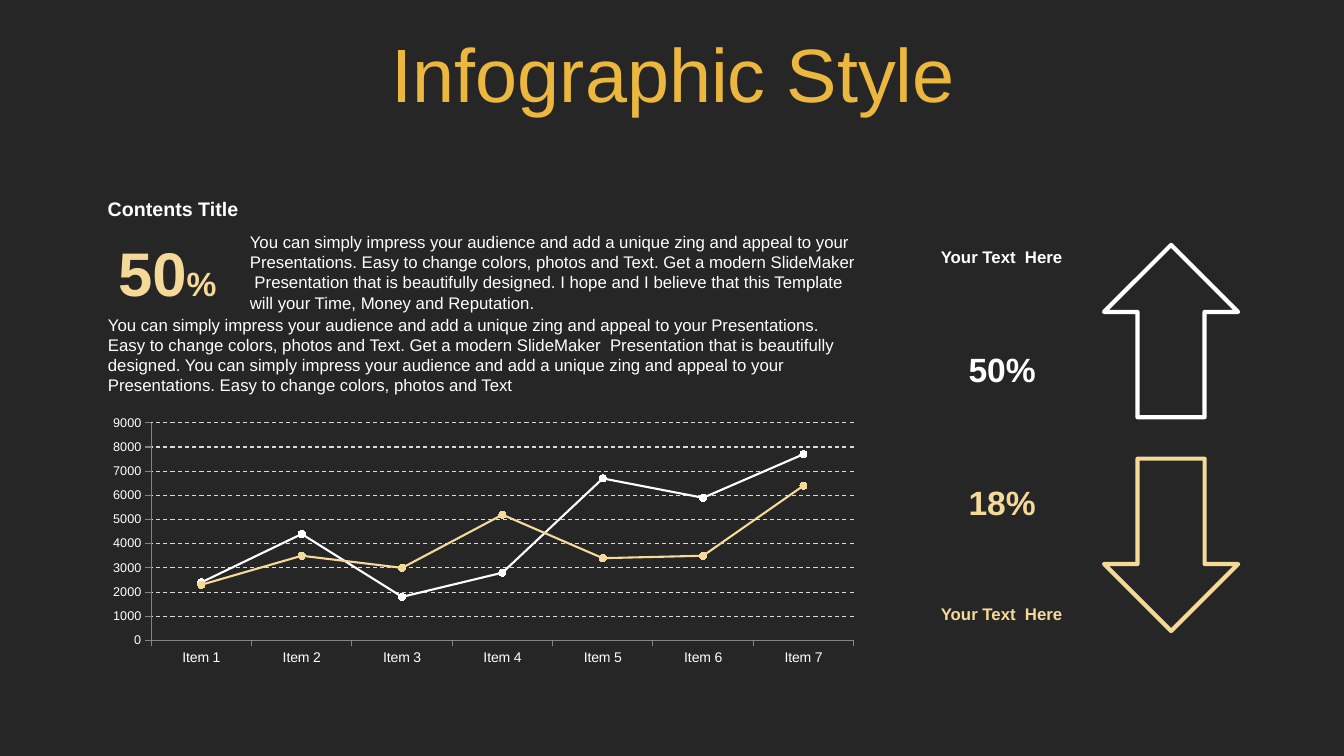
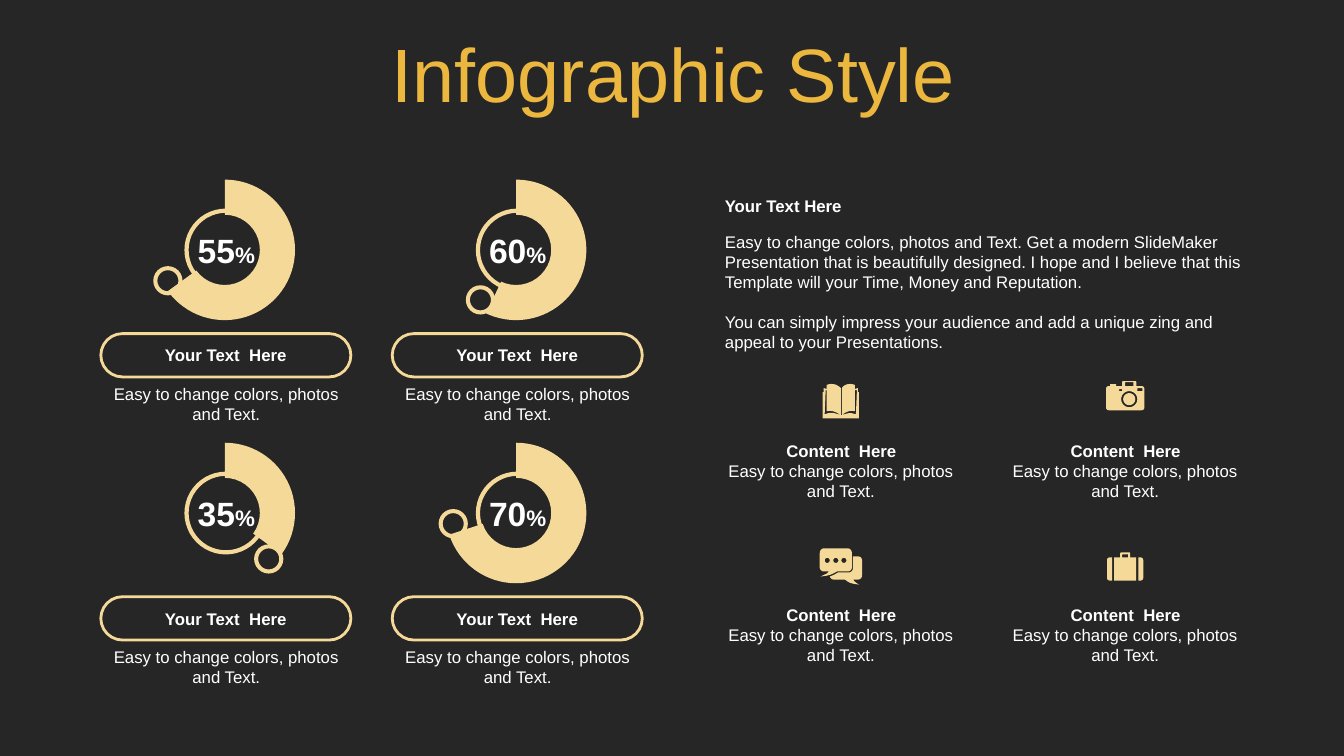
from math import cos, pi, sin

from lxml.etree import SubElement
from pptx import Presentation
from pptx.chart.data import CategoryChartData
from pptx.dml.color import RGBColor
from pptx.enum.chart import XL_CHART_TYPE, XL_MARKER_STYLE
from pptx.enum.dml import MSO_LINE
from pptx.enum.shapes import MSO_SHAPE
from pptx.enum.text import MSO_ANCHOR, MSO_AUTO_SIZE, PP_ALIGN
from pptx.oxml import parse_xml
from pptx.oxml.ns import nsdecls, qn
from pptx.util import Inches, Pt

COLORS = {
    "background": "262626",
    "title": "ECB73E",
    "sand": "F5D999",
    "white": "FFFFFF",
    "grid": "D9D9D9",
    "axis": "868686",
}
FONT = "Arial"
CENTER, LEFT = PP_ALIGN.CENTER, PP_ALIGN.LEFT
TOP, MIDDLE = MSO_ANCHOR.TOP, MSO_ANCHOR.MIDDLE


def rgb(name):
    return RGBColor.from_string(COLORS[name])


def outline(commands):
    """Points in 1/100 inch; the three points after C form a curve."""
    points, curve = [], None
    for token in commands.split():
        if token == "C":
            curve = [points[-1]]
            continue
        point = tuple(float(n) for n in token.split(","))
        if curve is None:
            points.append(point)
            continue
        curve.append(point)
        if len(curve) == 4:
            for t in (0.25, 0.5, 0.75, 1):
                weights = ((1 - t) ** 3, 3 * t * (1 - t) ** 2,
                           3 * t * t * (1 - t), t ** 3)
                points.append(tuple(
                    sum(w * q[axis] for w, q in zip(weights, curve))
                    for axis in (0, 1)))
            curve = None
    return points


def circle(cx, cy, radius, steps=24):
    angles = [2 * pi * i / steps for i in range(steps)]
    return [(cx + radius * cos(a), cy + radius * sin(a)) for a in angles]


# Icon outlines, in 1/100 inch from the icon's top left corner
BOOK = [outline(
    "18,31 19,31 C 24,29 27,28 33,30 34,6 32,6 32,27 C 28,26 23,27 19,31 "
    "19,4 C 21,1 24,0 27,0 C 28,0 30,0 32,1 32,5 35,4 35,8 36,8 36,34 "
    "0,34 0,8 1,8 1,4 4,5 4,1 C 6,0 8,0 9,0 C 12,0 15,1 18,4 18,31 "
    "C 13,27 8,26 4,27 4,6 3,6 2,30 C 9,27 12,29 18,31")]
CAMERA = [
    circle(23, 18, 6),
    circle(23, 18, 8),
    outline("13,8 13,10 16,10 16,8"),
    outline("31,7 31,10 36,10 36,7"),
    outline("19,1 19,5 27,5 27,1"),
    outline("17,0 29,0 C 29,0 30,0 30,1 30,5 35,5 C 37,5 38,6 38,8 38,26 "
            "C 38,28 37,29 35,29 3,29 C 1,29 0,28 0,26 0,8 C 0,6 1,5 3,5 "
            "4,5 4,3 10,3 10,5 16,5 16,1 C 16,0 17,0 17,0"),
]
CHAT = [circle(cx, 12, 2.5) for cx in (7.5, 16, 24)] + [
    outline("33,8 38,8 C 41,8 42,10 42,12 42,26 C 42,29 41,31 38,31 33,31 "
            "C 34,32 34,33 39,36 C 30,35 29,34 25,31 14,31 C 12,31 11,30 10,28 "
            "C 13,27 15,26 18,24 29,24 C 31,24 33,22 33,20"),
    outline("4,0 28,0 C 30,0 32,2 32,5 32,19 C 32,21 30,23 28,23 17,23 "
            "C 12,26 10,27 1,28 C 6,25 7,26 9,23 4,23 C 2,23 0,21 0,19 "
            "0,5 C 0,2 2,0 4,0"),
]
SUITCASE = [
    outline("31,5 33,5 C 35,5 36,6 36,8 36,25 C 36,27 35,28 33,28 31,28"),
    outline("3,5 5,5 5,28 3,28 C 1,28 0,27 0,25 0,8 C 0,6 1,5 3,5"),
    outline("16,2 C 15,2 15,2 15,3 15,5 21,5 21,3 C 21,2 21,2 20,2"),
    outline("14,0 22,0 C 23,0 23,1 23,1 23,5 29,5 29,28 7,28 7,5 13,5 13,1 "
            "C 13,1 14,0 14,0"),
]


class Deck:
    """Holds the presentation style and the slide being built."""

    def __init__(self):
        self.prs = Presentation()
        self.prs.slide_width, self.prs.slide_height = Inches(13.33), Inches(7.5)
        fill = self.prs.slide_master.background.fill
        fill.solid()
        fill.fore_color.rgb = rgb("background")
        self.s = None

    def new_slide(self, title):
        self.s = self.prs.slides.add_slide(self.prs.slide_layouts[1])
        sp = self.s.shapes.title
        self.place(sp, 0.35, 0.31, 12.66, 0.92)
        self.set_text(sp.text_frame, [title], 54, "title", False, CENTER, MIDDLE)
        sp.text_frame.paragraphs[0].line_spacing = 0.9

    @staticmethod
    def place(sp, *box):
        sp.left, sp.top, sp.width, sp.height = (Inches(v) for v in box)

    @staticmethod
    def style(font, size, color, bold=False):
        font.name, font.size, font.bold = FONT, Pt(size), bold
        font.color.rgb = rgb(color)

    def set_text(self, tf, texts, size, color, bold, align, anchor):
        tf.word_wrap, tf.auto_size = True, MSO_AUTO_SIZE.NONE
        tf.vertical_anchor = anchor
        for i, text in enumerate(texts):
            p = tf.add_paragraph() if i else tf.paragraphs[0]
            p.text, p.alignment = text, align
            p.space_before = Pt(14 if i else 0)
            self.style(p.runs[0].font, size, color, bold)

    def text(self, x, y, w, h, text, size=12, color="white", bold=False,
             align=LEFT, anchor=TOP):
        sp = self.s.shapes.add_textbox(*(Inches(v) for v in (x, y, w, h)))
        self.set_text(sp.text_frame, [text], size, color, bold, align, anchor)
        return sp

    def body(self, x, y, w, h, *texts):
        sp = self.s.placeholders[1]
        self.place(sp, x, y, w, h)
        self.set_text(sp.text_frame, texts, 12, "white", False, LEFT, TOP)
        for p in sp.text_frame.paragraphs:
            pPr = p._p.get_or_add_pPr()
            pPr.set("marL", "0")
            pPr.set("indent", "0")
            SubElement(pPr, qn("a:buNone"))

    def percent(self, x, y, w, h, number, size, sign_size, color="white"):
        sp = self.text(x, y, w, h, number, size, color, True, CENTER, MIDDLE)
        r = sp.text_frame.paragraphs[0].add_run()
        r.text = "%"
        self.style(r.font, sign_size, color, True)

    def paint(self, sp, fill=None, line=None, width=3):
        sp.shadow.inherit = False
        for part, color in ((sp.fill, fill), (sp.line.fill, line)):
            if color:
                part.solid()
                part.fore_color.rgb = rgb(color)
            else:
                part.background()
        if line:
            sp.line.width = Pt(width)

    def shape(self, kind, x, y, w, h, adj=None, **paint):
        sp = self.s.shapes.add_shape(kind, *(Inches(v) for v in (x, y, w, h)))
        if adj is not None:
            sp.adjustments[0] = adj
        self.paint(sp, **paint)
        return sp

    def pill(self, x, y, w, h, text):
        sp = self.shape(MSO_SHAPE.ROUNDED_RECTANGLE, x, y, w, h, 0.5,
                        line="sand", width=2)
        self.set_text(sp.text_frame, [text], 12, "white", True, CENTER, MIDDLE)

    def icon(self, x, y, contours):
        builder = None
        for contour in contours:
            first, *rest = [(Inches(x + px / 100), Inches(y + py / 100))
                            for px, py in contour]
            if builder is None:
                builder = self.s.shapes.build_freeform(*first, scale=1.0)
            else:
                builder.move_to(*first)
            builder.add_line_segments(rest, close=True)
        self.paint(builder.convert_to_shape(), fill="sand")

    def chart(self, kind, x, y, w, h, cats, series):
        data = CategoryChartData()
        data.categories = cats
        for name, values in series:
            data.add_series(name, values)
        box = (Inches(v) for v in (x, y, w, h))
        chart = self.s.shapes.add_chart(kind, *box, data).chart
        chart.has_title = chart.has_legend = False
        self.style(chart.font, 10, "white")
        return chart

    def line_chart(self, x, y, w, h, cats, series, colors):
        chart = self.chart(XL_CHART_TYPE.LINE_MARKERS, x, y, w, h, cats, series)
        for axis, size in ((chart.category_axis, 10), (chart.value_axis, 9)):
            self.style(axis.tick_labels.font, size, "white")
            axis.format.line.color.rgb = rgb("axis")
            axis.format.line.width = Pt(0.75)
        axis = chart.value_axis
        axis.minimum_scale, axis.maximum_scale, axis.major_unit = 0, 9000, 1000
        grid = axis.major_gridlines.format.line
        grid.color.rgb, grid.width = rgb("grid"), Pt(0.75)
        grid.dash_style = MSO_LINE.DASH
        for ser, color in zip(chart.plots[0].series, colors):
            ser.smooth = False
            ser.format.line.color.rgb, ser.format.line.width = rgb(color), Pt(1.5)
            marker = ser.marker
            marker.style, marker.size = XL_MARKER_STYLE.CIRCLE, 5
            marker.format.fill.solid()
            marker.format.fill.fore_color.rgb = rgb(color)
            marker.format.line.color.rgb = rgb(color)

    def doughnut(self, x, y, w, h, share):
        chart = self.chart(XL_CHART_TYPE.DOUGHNUT, x, y, w, h, ["1", "2"],
                           [("Series 1", (share, 100 - share))])
        plot = chart.plots[0]
        plot.vary_by_categories = False
        filled, rest = (plot.series[0].points[i].format for i in (0, 1))
        filled.fill.solid()
        filled.fill.fore_color.rgb = rgb("sand")
        rest.fill.background()
        for part in (filled, rest):
            part.line.fill.background()
        # Hole size and plot area
        area = chart._chartSpace.find(".//" + qn("c:plotArea"))
        area.find(".//" + qn("c:holeSize")).set("val", "80")
        for old in area.findall(qn("c:layout")):
            area.remove(old)
        values = "".join(f'<c:{tag} val="{val}"/>' for tag, val in (
            ("layoutTarget", "inner"), ("xMode", "edge"), ("yMode", "edge"),
            ("x", 0.04), ("y", 0), ("w", 0.9), ("h", 1)))
        area.insert(0, parse_xml(
            f'<c:layout {nsdecls("c")}><c:manualLayout>{values}'
            '</c:manualLayout></c:layout>'))

    def gauge(self, x, y, number, share, knob_x, knob_y):
        self.doughnut(x + 0.47, y, 1.55, 1.4, share)
        self.shape(MSO_SHAPE.OVAL, x + 0.85, y + 0.31, 0.78, 0.78, line="sand")
        self.shape(MSO_SHAPE.DONUT, x + knob_x, y + knob_y, 0.29, 0.29, 0.14,
                   fill="sand")
        self.percent(x + 0.82, y + 0.45, 0.85, 0.5, number, 24, 16)
        self.pill(x, y + 1.53, 2.48, 0.43, "Your Text  Here")
        self.text(x + 0.03, y + 1.98, 2.43, 0.5,
                  "Easy to change colors, photos and Text.", align=CENTER)


def trend_slide(deck):
    deck.new_slide("Infographic Style")
    # Text block
    intro = ("You can simply impress your audience and add a unique zing and "
             "appeal to your Presentations. Easy to change colors, photos and "
             "Text. Get a modern SlideMaker  Presentation that is beautifully "
             "designed. ")
    deck.text(0.97, 1.9, 2.75, 0.34, "Contents Title", 14, bold=True)
    deck.percent(0.97, 2.28, 1.38, 0.84, "50", 44, 24, "sand")
    deck.text(2.38, 2.25, 6.23, 0.91, intro + "I hope and I believe that this "
              "Template will your Time, Money and Reputation.")
    deck.body(0.97, 3.07, 7.65, 0.91, intro + "You can simply impress your "
              "audience and add a unique zing and appeal to your "
              "Presentations. Easy to change colors, photos and Text")
    # Line chart
    deck.line_chart(
        0.97, 4.07, 7.65, 2.59, [f"Item {i}" for i in range(1, 8)],
        [("Series 1", (2400, 4400, 1800, 2800, 6700, 5900, 7700)),
         ("Series 2", (2300, 3500, 3000, 5200, 3400, 3500, 6400))],
        ("white", "sand"))
    # Up and down arrows with their figures
    for color, turn, arrow_y, figure, figure_y, label_y in (
            ("white", 0, 2.43, "50%", 3.41, 2.4),
            ("sand", 180, 4.55, "18%", 4.73, 5.94)):
        arrow = deck.shape(MSO_SHAPE.UP_ARROW, 10.95, arrow_y, 1.33, 1.71,
                           line=color)
        arrow.rotation = turn
        deck.text(9.43, figure_y, 1.02, 0.5, figure, 24, color, True,
                  CENTER, MIDDLE)
        deck.text(9.1, label_y, 1.67, 0.3, "Your Text  Here", 12, color, True,
                  CENTER)


def gauge_slide(deck):
    deck.new_slide("Infographic Style")
    # Two by two gauges: number, drawn share, knob offset
    gauges = (("55", 65, 0.52, 0.86), ("60", 57, 0.73, 1.05),
              ("35", 35, 1.52, 1.01), ("70", 70, 0.46, 0.66))
    for i, gauge in enumerate(gauges):
        deck.gauge(1 + i % 2 * 2.89, 1.78 + i // 2 * 2.61, *gauge)
    # Text block
    deck.text(7.09, 1.89, 5.33, 0.3, "Your Text Here", bold=True)
    deck.body(7.09, 2.25, 5.33, 1.31,
              "Easy to change colors, photos and Text. Get a modern SlideMaker  "
              "Presentation that is beautifully designed. I hope and I believe "
              "that this Template will your Time, Money and Reputation.",
              "You can simply impress your audience and add a unique zing and "
              "appeal to your Presentations.")
    # Two by two contents, each under its icon
    icons = ((8.16, 3.81, BOOK), (10.97, 3.78, CAMERA),
             (8.13, 5.44, CHAT), (10.98, 5.48, SUITCASE))
    for i, icon in enumerate(icons):
        x, y = 7.09 + i % 2 * 2.82, 4.32 + i // 2 * 1.63
        deck.icon(*icon)
        deck.text(x, y, 2.51, 0.3, "Content  Here", bold=True, align=CENTER)
        deck.text(x + 0.01, y + 0.2, 2.48, 0.5,
                  "Easy to change colors, photos and Text.", align=CENTER)


def main():
    deck = Deck()
    trend_slide(deck)
    gauge_slide(deck)
    deck.prs.save("out.pptx")


if __name__ == "__main__":
    main()
